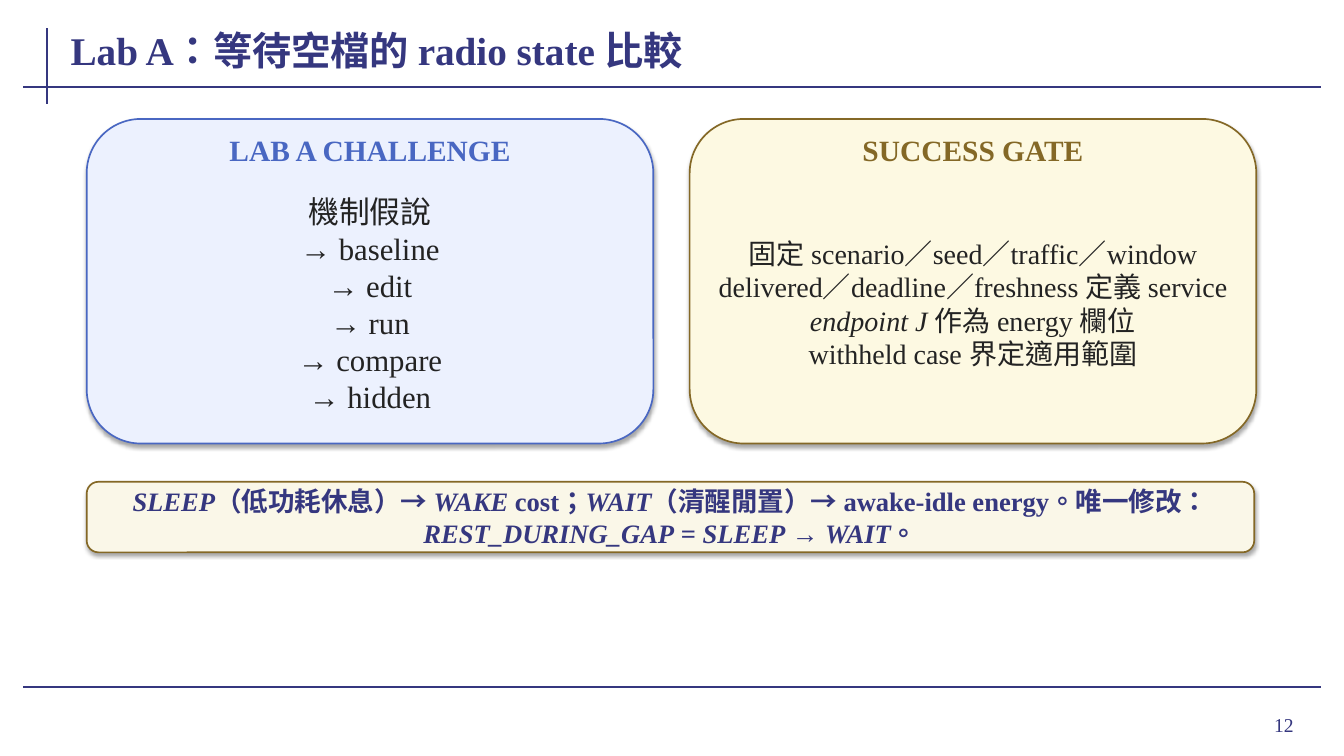
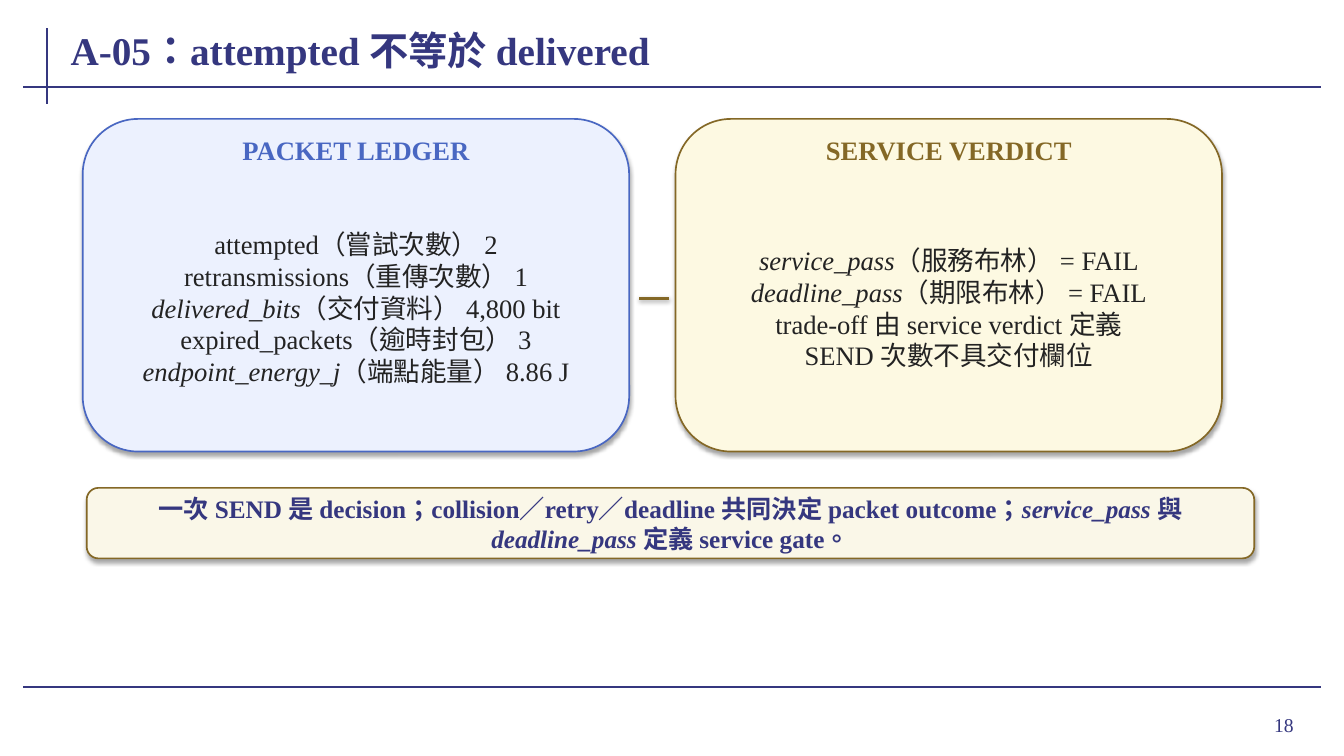
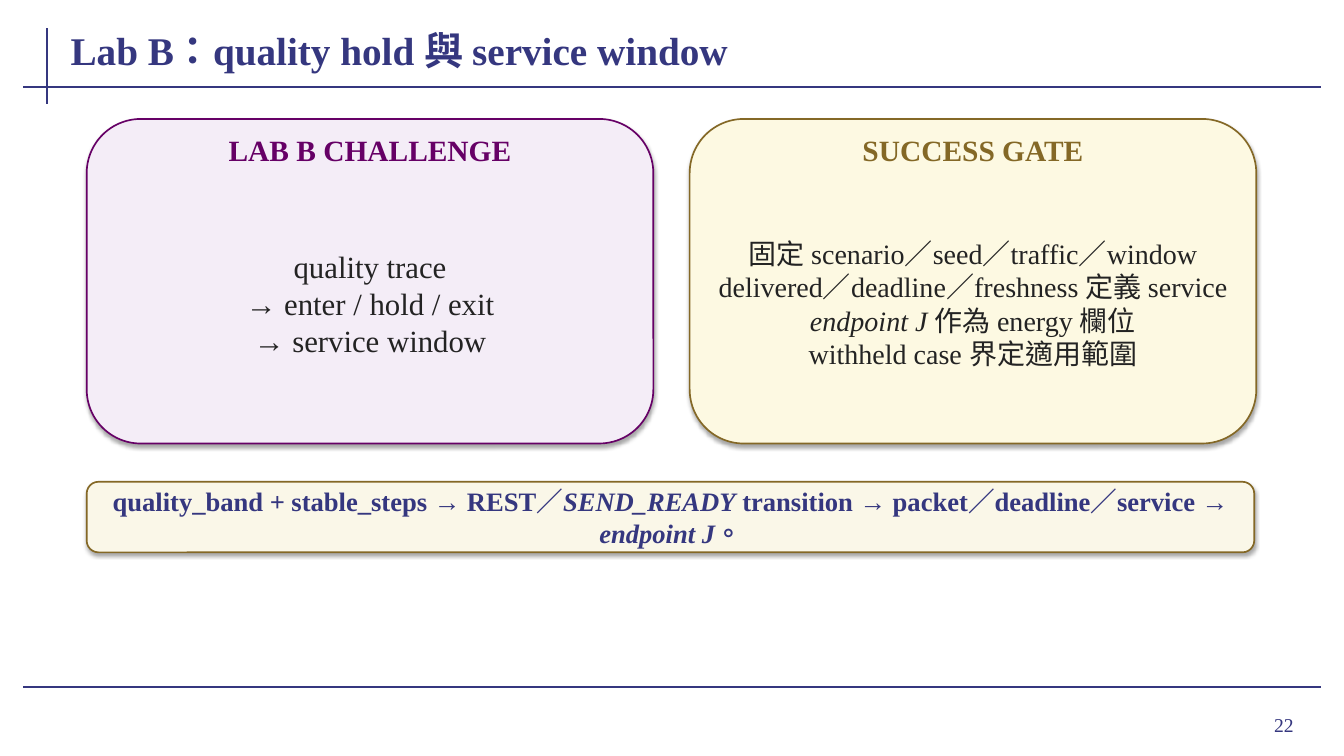
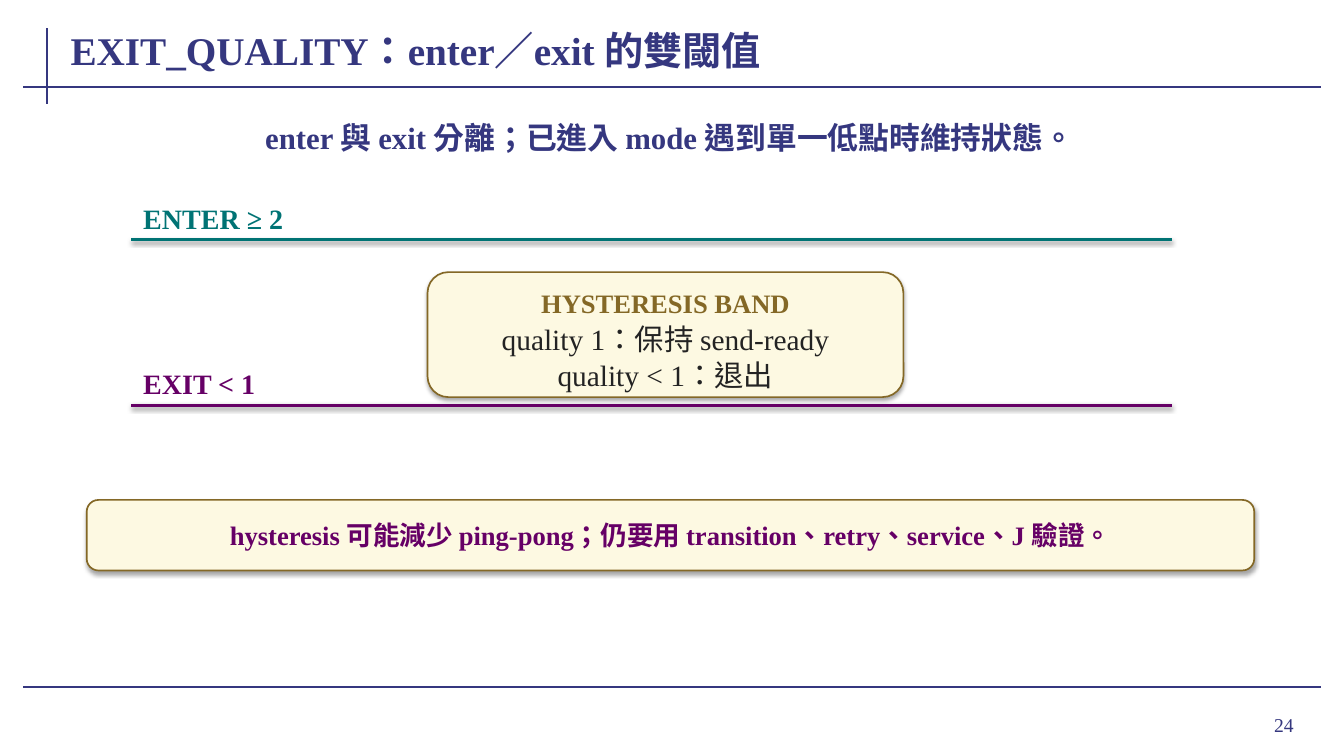
import dataclasses
import typing

import lxml.etree
import pptx
import pptx.dml.color
import pptx.enum.lang
import pptx.enum.shapes
import pptx.enum.text
import pptx.oxml.ns
import pptx.util

Inches = pptx.util.Inches
Pt = pptx.util.Pt
RGBColor = pptx.dml.color.RGBColor
ALIGN = pptx.enum.text.PP_ALIGN
ANCHOR = pptx.enum.text.MSO_ANCHOR
FIT = pptx.enum.text.MSO_AUTO_SIZE
qn = pptx.oxml.ns.qn

# Shared look
FONT = "Times New Roman"
TONGUE = pptx.enum.lang.MSO_LANGUAGE_ID.TRADITIONAL_CHINESE
NAVY = RGBColor(0x35, 0x37, 0x7F)
INK = RGBColor(0x23, 0x23, 0x23)
TEAL = RGBColor(0x00, 0x73, 0x74)
PLUM = RGBColor(0x66, 0x00, 0x66)
LILAC = RGBColor(0xF4, 0xED, 0xF7)
BLUE = RGBColor(0x49, 0x67, 0xC2)
ICE = RGBColor(0xEC, 0xF1, 0xFE)
GOLD = RGBColor(0x84, 0x68, 0x26)
CREAM = RGBColor(0xFD, 0xF9, 0xE2)
SAND = RGBColor(0xFA, 0xF7, 0xE8)

SNUG = (0.02, 0)
LOOSE = (0.08, 0.04)


class Box(typing.NamedTuple):
    x: float
    y: float
    w: float
    h: float


class Skin(typing.NamedTuple):
    fill: RGBColor
    edge: RGBColor


class Shade(typing.NamedTuple):
    alpha: int
    blur: float
    drop: float


@dataclasses.dataclass
class Card:
    head: str
    lines: list[str]
    skin: Skin
    size: int
    head_size: int = 21


TITLE = Box(0.68, 0.18, 11.95, 0.62)
PAGE = Box(11.96, 6.93, 0.97, 0.52)
RULES = [(0.47, 0.28, 0.47, 1.03), (0.23, 0.86, 13.1, 0.86), (0.23, 6.82, 13.1, 6.82)]
COOL = Skin(ICE, BLUE)
WARM = Skin(CREAM, GOLD)
VIVID = Skin(LILAC, PLUM)
CARD_SHADE = Shade(35, 3.1, 1.8)
LINE_SHADE = Shade(38, 3.1, 1.6)

GATE = Card("SUCCESS GATE", [
    "固定 scenario／seed／traffic／window",
    "delivered／deadline／freshness 定義 service",
    "*endpoint J* 作為 energy 欄位",
    "withheld case 界定適用範圍",
], WARM, 20)


# Drawing helpers
def place(box: Box) -> list[int]:
    return [Inches(round(side, 2)) for side in box]


def shadow(shape, shade: Shade | None) -> None:
    """Give a shape a downward shadow, or none at all."""
    effects = lxml.etree.SubElement(shape.element.spPr, qn("a:effectLst"))
    if shade:
        outer = lxml.etree.SubElement(
            effects, qn("a:outerShdw"), blurRad=str(Pt(shade.blur)),
            dist=str(Pt(shade.drop)), dir="5400000", algn="ctr", rotWithShape="0")
        tint = lxml.etree.SubElement(outer, qn("a:srgbClr"), val="000000")
        lxml.etree.SubElement(tint, qn("a:alpha"), val=str(shade.alpha * 1000))


def write(frame, lines: list[str], *, size: int, color: RGBColor, bold: bool = False,
          align=ALIGN.CENTER, anchor=ANCHOR.MIDDLE, inset=LOOSE, fit=FIT.SHAPE_TO_FIT_TEXT) -> None:
    """Fill a text frame, one paragraph a line; *stars* mark italics."""
    frame.word_wrap = True
    frame.auto_size = fit
    frame.vertical_anchor = anchor
    frame.margin_left = frame.margin_right = Inches(inset[0])
    frame.margin_top = frame.margin_bottom = Inches(inset[1])
    for row, line in enumerate(lines):
        para = frame.add_paragraph() if row else frame.paragraphs[0]
        para.alignment = align
        for part, words in enumerate(line.split("*")):
            if not words:
                continue
            run = para.add_run()
            run.text = words
            font = run.font
            font.name, font.size, font.bold = FONT, Pt(size), bold
            font.italic = part % 2 == 1
            font.color.rgb = color
            font.language_id = TONGUE


def label(slide, box: Box, lines: list[str], **style) -> None:
    write(slide.shapes.add_textbox(*place(box)).text_frame, lines, **style)


def rule(slide, ends: tuple, color: RGBColor, width: float, shade: Shade | None = None) -> None:
    line = slide.shapes.add_connector(
        pptx.enum.shapes.MSO_CONNECTOR.STRAIGHT, *[Inches(end) for end in ends])
    line.line.color.rgb = color
    line.line.width = Pt(width)
    shadow(line, shade)


def plate(slide, box: Box, skin: Skin) -> None:
    shape = slide.shapes.add_shape(
        pptx.enum.shapes.MSO_SHAPE.ROUNDED_RECTANGLE, *place(box))
    shape.fill.solid()
    shape.fill.fore_color.rgb = skin.fill
    shape.line.color.rgb = skin.edge
    shape.line.width = Pt(1.2)
    shadow(shape, CARD_SHADE)


def panel(slide, box: Box, card: Card) -> None:
    x, y, w, h = box
    plate(slide, box, card.skin)
    label(slide, Box(x + 0.18, y + 0.16, w - 0.36, 0.3), [card.head],
          size=card.head_size, color=card.skin.edge, bold=True, inset=(0.01, 0))
    label(slide, Box(x + 0.2, y + 0.58, w - 0.4, h - 0.72), card.lines,
          size=card.size, color=INK)


def pair(slide, box: Box, gap: float, cards: list[Card]) -> None:
    for spot, card in enumerate(cards):
        panel(slide, box._replace(x=box.x + spot * (box.w + gap)), card)


def banner(slide, y: float, line: str, *, size: int = 19, color: RGBColor = NAVY,
           fill: RGBColor = SAND) -> None:
    plate(slide, Box(0.86, y, 11.58, 0.7), Skin(fill, GOLD))
    label(slide, Box(1.04, y + 0.07, 11.22, 0.56), [line],
          size=size, color=color, bold=True, inset=SNUG)


def start(deck, title: str, page: int):
    """Add a slide with its rules, page number and title."""
    slide = deck.slides.add_slide(deck.slide_layouts[5])
    for ends in RULES:
        rule(slide, ends, NAVY, 1.5)
    label(slide, PAGE, [str(page)], size=14, color=NAVY, align=ALIGN.RIGHT,
          inset=(0.1, 0.05), fit=FIT.NONE)
    head = slide.shapes.title
    head.left, head.top, head.width, head.height = place(TITLE)
    write(head.text_frame, [title], size=28, color=NAVY, bold=True,
          align=ALIGN.LEFT, inset=SNUG, fit=FIT.NONE)
    return slide


# Slides
def lab_a(deck) -> None:
    slide = start(deck, "Lab A：等待空檔的 radio state 比較", 12)
    steps = ["機制假說", "→ baseline", "→ edit", "→ run", "→ compare", "→ hidden"]
    pair(slide, Box(0.86, 1.18, 5.62, 3.22), 0.36,
         [Card("LAB A CHALLENGE", steps, COOL, 22), GATE])
    banner(slide, 4.78, "*SLEEP*（低功耗休息）→ *WAKE* cost；*WAIT*（清醒閒置）→ awake-idle energy。"
           "唯一修改：*REST_DURING_GAP* = *SLEEP* → *WAIT*。")


def packets(deck) -> None:
    slide = start(deck, "A-05：attempted 不等於 delivered", 18)
    ledger = Card("PACKET LEDGER", [
        "attempted（嘗試次數） 2",
        "retransmissions（重傳次數） 1",
        "*delivered_bits*（交付資料） 4,800 bit",
        "expired_packets（逾時封包） 3",
        "*endpoint_energy_j*（端點能量） 8.86 J",
    ], COOL, 19, 19)
    verdict = Card("SERVICE VERDICT", [
        "*service_pass*（服務布林） = FAIL",
        "*deadline_pass*（期限布林） = FAIL",
        "trade-off 由 service verdict 定義",
        "SEND 次數不具交付欄位",
    ], WARM, 19, 19)
    pair(slide, Box(0.82, 1.18, 5.42, 3.3), 0.46, [ledger, verdict])
    rule(slide, (6.34, 2.96, 6.64, 2.96), GOLD, 1.8, LINE_SHADE)
    banner(slide, 4.84, "一次 SEND 是 decision；collision／retry／deadline 共同決定 packet outcome；"
           "*service_pass* 與 *deadline_pass* 定義 service gate。", size=18)


def lab_b(deck) -> None:
    slide = start(deck, "Lab B：quality hold 與 service window", 22)
    steps = ["quality trace", "→ enter / hold / exit", "→ service window"]
    pair(slide, Box(0.86, 1.18, 5.62, 3.22), 0.36,
         [Card("LAB B CHALLENGE", steps, VIVID, 22), GATE])
    banner(slide, 4.78, "quality_band + stable_steps → REST／*SEND_READY* transition → "
           "packet／deadline／service → *endpoint J*。")


def limits(deck) -> None:
    slide = start(deck, "EXIT_QUALITY：enter／exit 的雙閾值", 24)
    label(slide, Box(1, 1.18, 11.28, 0.36),
          ["enter 與 exit 分離；已進入 mode 遇到單一低點時維持狀態。"],
          size=22, color=NAVY, bold=True)
    for y, name, color in [(2.38, "ENTER ≥ 2", TEAL), (4.02, "EXIT < 1", PLUM)]:
        rule(slide, (1.3, y, 11.62, y), color, 2, LINE_SHADE)
        label(slide, Box(1.34, y - 0.42, 2.48, 0.28), [name], size=20, color=color,
              bold=True, align=ALIGN.LEFT, anchor=ANCHOR.TOP)
    panel(slide, Box(4.24, 2.7, 4.72, 1.24), Card(
        "HYSTERESIS BAND", ["quality 1：保持 send-ready", "quality < 1：退出"], WARM, 21, 19))
    banner(slide, 4.96, "hysteresis 可能減少 ping-pong；仍要用 transition、retry、service、J 驗證。",
           color=PLUM, fill=CREAM)


def main() -> None:
    deck = pptx.Presentation()
    deck.slide_width, deck.slide_height = Inches(13.33), Inches(7.5)
    for build in (lab_a, packets, lab_b, limits):
        build(deck)
    deck.save("out.pptx")


if __name__ == "__main__":
    main()
